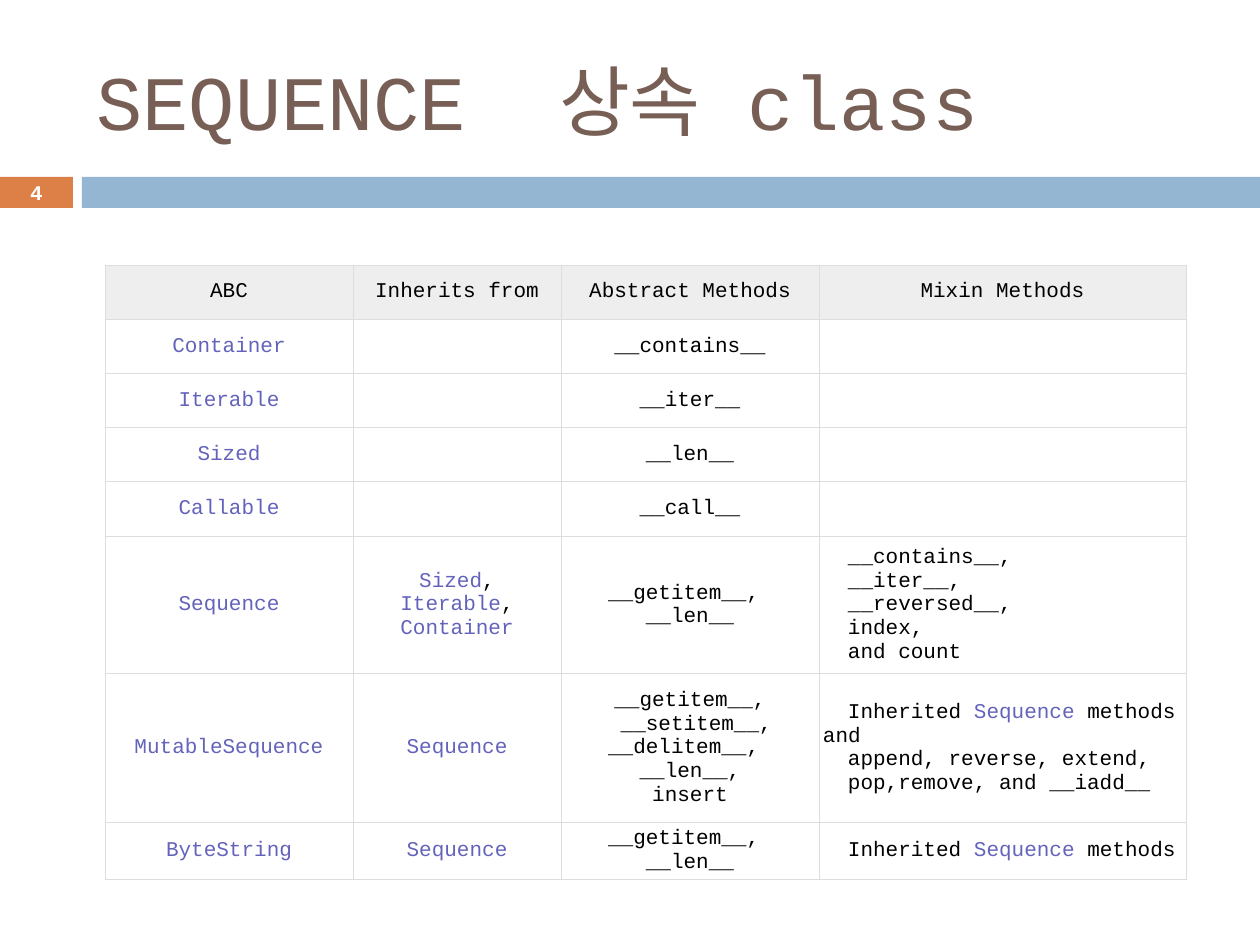
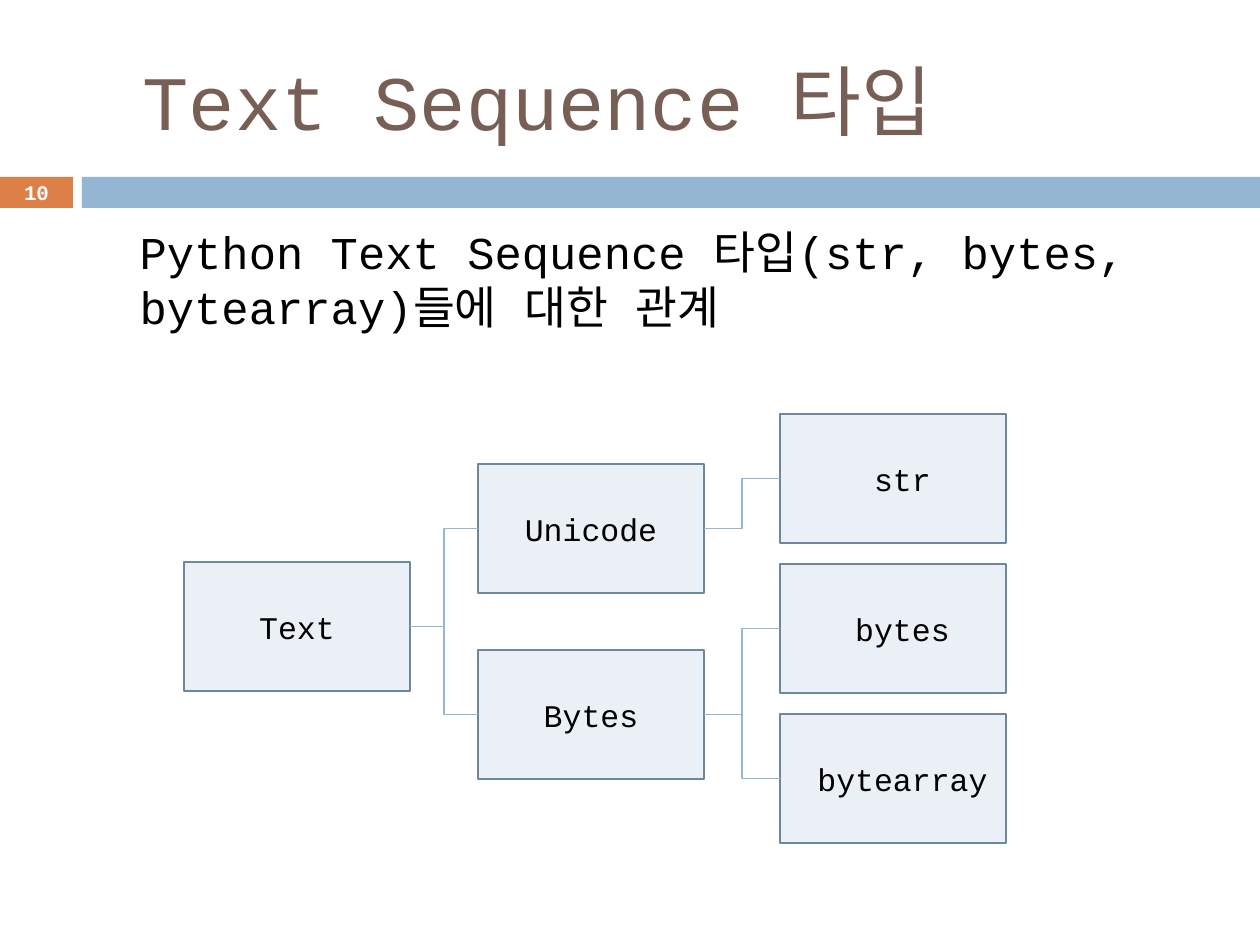
from dataclasses import dataclass

import pptx
import pptx.dml.color
import pptx.enum.shapes
import pptx.enum.text
import pptx.oxml
import pptx.oxml.ns
import pptx.util

EMU_PER_PX = 914400 / 126
FONT = "Courier New"
BLACK, WHITE = "000000", "FFFFFF"
BROWN, ORANGE, BLUE = "775F55", "DD8047", "94B6D2"
LINK, HEADER_FILL, GRID = "6363BB", "EEEEEE", "DDDDDD"
NODE_FILL, NODE_LINE = "EAF0F6", "6D879B"
LEFT = pptx.enum.text.PP_ALIGN.LEFT
CENTER = pptx.enum.text.PP_ALIGN.CENTER
MIDDLE = pptx.enum.text.MSO_ANCHOR.MIDDLE
RECTANGLE = pptx.enum.shapes.MSO_SHAPE.RECTANGLE
ELBOW = pptx.enum.shapes.MSO_CONNECTOR.ELBOW
TITLE_AND_CONTENT, TITLE_ONLY = 1, 5


@dataclass(frozen=True)
class Area:
    left: int
    top: int
    width: int
    height: int

    def emu(self) -> tuple:
        return px(self.left), px(self.top), px(self.width), px(self.height)


@dataclass(frozen=True)
class Node:
    label: str
    left: int
    top: int
    parent: str = ""


TITLE = Area(84, 32, 1124, 136)
BODY = Area(64, 218, 1134, 195)
NUMBER = Area(0, 175, 73, 34)
BANDS = [(Area(0, 177, 73, 31), ORANGE), (Area(82, 177, 1178, 31), BLUE)]

TABLE_LEFT, TABLE_TOP = 105, 265
COLUMN_WIDTHS = [248, 208, 258, 367]
ROW_HEIGHTS = [54, 55, 54, 54, 55, 137, 149, 57]
MIXIN_COLUMN = 3
# Words between asterisks take the link colour; each line is a paragraph.
ABC_ROWS = [
    ["ABC", "Inherits from", "Abstract Methods", "Mixin Methods"],
    ["*Container*", "", "__contains__", ""],
    ["*Iterable*", "", "__iter__", ""],
    ["*Sized*", "", "__len__", ""],
    ["*Callable*", "", "__call__", ""],
    ["*Sequence*", "*Sized*,\n*Iterable*,\n*Container*",
     "__getitem__, \n__len__",
     "__contains__,\n__iter__,\n__reversed__,\nindex,\nand count"],
    ["*MutableSequence*", "*Sequence*",
     "__getitem__,\n __setitem__,\n__delitem__, \n__len__,\ninsert",
     "Inherited *Sequence* methods and\nappend, reverse, extend,\n"
     "pop,remove, and __iadd__"],
    ["*ByteString*", "*Sequence*", "__getitem__, \n__len__",
     "Inherited *Sequence* methods"],
]

NODE_WIDTH, NODE_HEIGHT = 226, 129
ROOT_LEFT, KIND_LEFT, LEAF_LEFT = 184, 478, 780
LEAF_TOP, LEAF_STEP = 414, 150
LEAVES = [(" str", "Unicode"), (" bytes", "Bytes"), (" bytearray", "Bytes")]
NODES = [
    Node("Text", ROOT_LEFT, 562),
    Node("Unicode", KIND_LEFT, 464, "Text"),
    Node("Bytes", KIND_LEFT, 650, "Text"),
] + [
    Node(label, LEAF_LEFT, LEAF_TOP + index * LEAF_STEP, parent)
    for index, (label, parent) in enumerate(LEAVES)
]


def px(length: int) -> pptx.util.Emu:
    return pptx.util.Emu(round(length * EMU_PER_PX))


def rgb(color: str) -> pptx.dml.color.RGBColor:
    return pptx.dml.color.RGBColor.from_string(color)


def element(tag: str, **attributes):
    made = pptx.oxml.parse_xml(f"<{tag} {pptx.oxml.ns.nsdecls('a')}/>")
    for name, value in attributes.items():
        made.set(name, str(value))
    return made


def write(frame, text: str, *, size: float, color: str = BLACK,
          bold: bool = False, align=LEFT, margin: int = 0, indent: int = 0,
          space_before: float = 0) -> None:
    """Fill a text frame, one paragraph a line, with *marked* words as links."""
    frame.word_wrap = True
    for index, line in enumerate(text.split("\n")):
        para = frame.paragraphs[0] if index == 0 else frame.add_paragraph()
        para.alignment = align
        para.space_before = pptx.util.Pt(space_before)
        properties = para._p.get_or_add_pPr()
        properties.set("marL", str(px(margin)))
        properties.set("indent", str(px(indent)))
        properties.append(element("a:buNone"))
        for part, words in enumerate(line.split("*")):
            if not words:
                continue
            span = para.add_run()
            span.text = words
            span.font.name = FONT
            span.font.size = pptx.util.Pt(size)
            span.font.bold = bold
            span.font.color.rgb = rgb(LINK if part % 2 else color)
            latin = span.font._element.find(pptx.oxml.ns.qn("a:latin"))
            latin.addnext(element("a:ea", typeface=FONT))


def place(shape, area: Area) -> None:
    shape.left, shape.top, shape.width, shape.height = area.emu()


def add_rectangle(page, area: Area, fill: str, line: str = ""):
    box = page.shapes.add_shape(RECTANGLE, *area.emu())
    box.shadow.inherit = False
    box.fill.solid()
    box.fill.fore_color.rgb = rgb(fill)
    if line:
        box.line.color.rgb = rgb(line)
        box.line.width = pptx.util.Pt(1.5)
    else:
        box.line.fill.background()
    return box


def add_page(deck, layout: int, title: str, number: int):
    """Add a slide with the shared bands, title style and page number."""
    page = deck.slides.add_slide(deck.slide_layouts[layout])
    for area, fill in BANDS:
        add_rectangle(page, area, fill)
    heading = page.shapes.title
    place(heading, TITLE)
    heading.text_frame.auto_size = pptx.enum.text.MSO_AUTO_SIZE.NONE
    heading.text_frame.vertical_anchor = MIDDLE
    write(heading.text_frame, title, size=44, color=BROWN)
    box = page.shapes.add_textbox(*NUMBER.emu())
    box.text_frame.vertical_anchor = MIDDLE
    write(box.text_frame, str(number), size=11.9, color=WHITE, bold=True,
          align=CENTER)
    return page


def add_borders(cell) -> None:
    properties = cell._tc.get_or_add_tcPr()
    for side in ("L", "R", "T", "B"):
        border = element(f"a:ln{side}", w=pptx.util.Pt(0.6))
        fill = element("a:solidFill")
        fill.append(element("a:srgbClr", val=GRID))
        border.append(fill)
        properties.append(border)


def add_abc_table(page) -> None:
    area = Area(TABLE_LEFT, TABLE_TOP, sum(COLUMN_WIDTHS), sum(ROW_HEIGHTS))
    table = page.shapes.add_table(
        len(ROW_HEIGHTS), len(COLUMN_WIDTHS), *area.emu()).table
    table.first_row = table.horz_banding = False
    for column, width in zip(table.columns, COLUMN_WIDTHS):
        column.width = px(width)
    for row, height in zip(table.rows, ROW_HEIGHTS):
        row.height = px(height)
    for row_index, texts in enumerate(ABC_ROWS):
        for column_index, text in enumerate(texts):
            cell = table.cell(row_index, column_index)
            add_borders(cell)
            cell.fill.solid()
            cell.fill.fore_color.rgb = rgb(WHITE if row_index else HEADER_FILL)
            cell.vertical_anchor = MIDDLE
            cell.margin_left = cell.margin_right = px(4)
            cell.margin_top = cell.margin_bottom = px(1)
            listing = row_index > 0 and column_index == MIXIN_COLUMN
            if text:
                write(cell.text_frame, text, size=12,
                      align=LEFT if listing else CENTER,
                      indent=25 if listing else 0)


def add_node(page, node: Node):
    area = Area(node.left, node.top, NODE_WIDTH, NODE_HEIGHT)
    box = add_rectangle(page, area, NODE_FILL, NODE_LINE)
    frame = box.text_frame
    frame.margin_left = frame.margin_right = 0
    frame.vertical_anchor = MIDDLE
    write(frame, node.label, size=18, align=CENTER)
    return box


def join(page, parent, child) -> None:
    """Draw an elbow from the parent's right side to the child's left side."""
    link = page.shapes.add_connector(ELBOW, 0, 0, 0, 0)
    link.begin_connect(parent, 3)
    link.end_connect(child, 1)
    link.line.color.rgb = rgb(BLUE)
    link.line.width = pptx.util.Pt(0.79)
    link._element.spPr.append(element("a:effectLst"))


def add_type_tree(page) -> None:
    boxes = {node.label: add_node(page, node) for node in NODES}
    for node in NODES:
        if node.parent:
            join(page, boxes[node.parent], boxes[node.label])


def main() -> None:
    deck = pptx.Presentation()
    deck.slide_width, deck.slide_height = px(1260), px(945)

    page = add_page(deck, TITLE_ONLY, "SEQUENCE  상속 class", 4)
    add_abc_table(page)

    page = add_page(deck, TITLE_AND_CONTENT, " Text Sequence 타입", 10)
    body = page.placeholders[1]
    place(body, BODY)
    body.text_frame.auto_size = pptx.enum.text.MSO_AUTO_SIZE.NONE
    write(body.text_frame,
          "Python Text Sequence 타입(str, bytes, bytearray)들에 대한 관계",
          size=26, margin=63, space_before=5.5)
    add_type_tree(page)

    deck.save("out.pptx")


if __name__ == "__main__":
    main()
